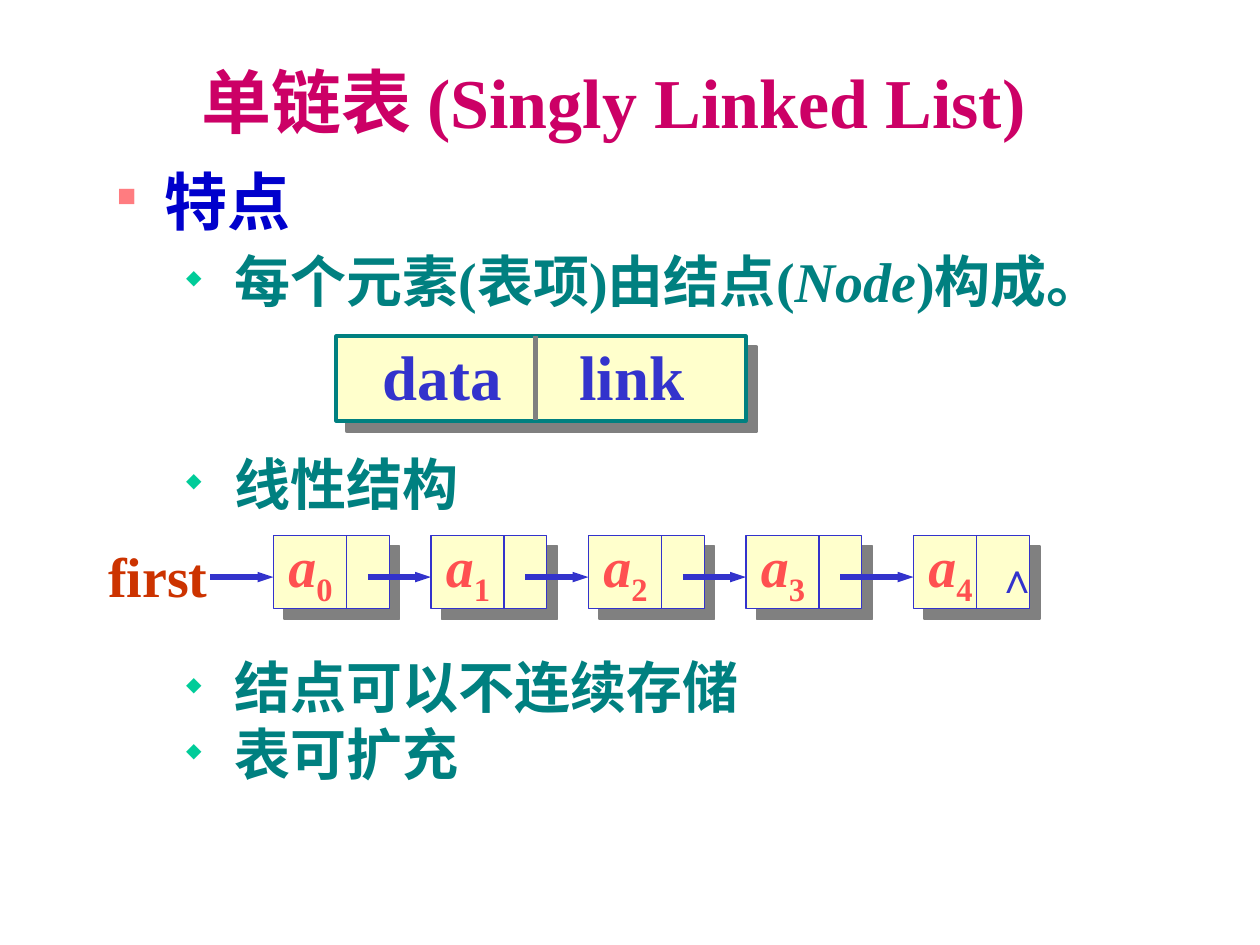
from pptx import Presentation
from pptx.dml.color import RGBColor
from pptx.enum.shapes import MSO_CONNECTOR, MSO_SHAPE
from pptx.enum.text import MSO_ANCHOR, PP_ALIGN
from pptx.oxml.ns import qn
from pptx.util import Inches, Pt
from lxml.etree import SubElement

MAGENTA = RGBColor(0xCC, 0x00, 0x66)
NAVY = RGBColor(0x00, 0x00, 0xCC)
TEAL = RGBColor(0x00, 0x80, 0x80)
BLUE = RGBColor(0x33, 0x33, 0xCC)
RED = RGBColor(0xFF, 0x50, 0x50)
RUST = RGBColor(0xCC, 0x33, 0x00)
CREAM = RGBColor(0xFF, 0xFF, 0xCC)
GRAY = RGBColor(0x80, 0x80, 0x80)
PINK = RGBColor(0xFF, 0x7C, 0x80)
GREEN = RGBColor(0x00, 0xCC, 0x99)
SERIF, SANS = "Times New Roman", "Arial"

TITLE = "单链表 (Singly Linked List)"
# Runs of (text, italic), level, space before in points
FEATURES = [
    ([("特点", False)], 0, 0),
    ([("每个元素(表项)由结点(", False), ("Node", True), (")构成。", False)], 1, 5),
    ([("线性结构", False)], 1, 78),
    ([("结点可以不连续存储", False)], 1, 78),
    ([("表可扩充", False)], 1, 0),
]
# Size, line pitch, colour, left margin, hanging indent, bullet, its colour and percent
LEVELS = [
    (36, 42, NAVY, 0.38, 0.38, "■", PINK, 42),
    (32, 38, TEAL, 0.93, 0.38, "◆", GREEN, 36),
]
FIELDS = [("data", 2.94, 1.3), ("link", 4.5, 1.3)]
# Left edge of each node and offset of its divider
NODES = [(2.17, 0.58), (3.42, 0.58), (4.67, 0.58), (5.92, 0.58), (7.25, 0.5)]
NODE_TOP, NODE_WIDTH, NODE_HEIGHT = 4.25, 0.92, 0.58
ARROW_Y, LINK_OFFSET, FIRST_ARROW_X = 4.58, 0.75, 1.67


def style(run, size, color, font=SERIF, italic=False):
    run.font.name = font
    run.font.size = Pt(size)
    run.font.bold = True
    run.font.italic = italic
    run.font.color.rgb = color


def add_label(slide, words, left, top, width, height, size, color, font=SERIF):
    label = slide.shapes.add_textbox(
        Inches(left), Inches(top), Inches(width), Inches(height))
    label.text_frame.word_wrap = False
    label.text_frame.text = words
    paragraph = label.text_frame.paragraphs[0]
    style(paragraph.runs[0], size, color, font)
    return paragraph


def add_box(slide, left, top, width, height, line_color, line_width):
    """Add a cream rectangle with a hard gray shadow to the lower right."""
    box = slide.shapes.add_shape(
        MSO_SHAPE.RECTANGLE, Inches(left), Inches(top), Inches(width), Inches(height))
    box.fill.solid()
    box.fill.fore_color.rgb = CREAM
    box.line.color.rgb = line_color
    box.line.width = Pt(line_width)
    box.shadow.inherit = False
    effects = box._element.spPr.find(qn("a:effectLst"))
    shadow = SubElement(effects, qn("a:outerShdw"), blurRad="0", dist=str(Pt(8.5)),
                        dir="2700000", algn="ctr", rotWithShape="0")
    SubElement(shadow, qn("a:srgbClr"), val=str(GRAY))


def add_line(slide, x1, y1, x2, y2, color, width, arrow=False):
    line = slide.shapes.add_connector(
        MSO_CONNECTOR.STRAIGHT, Inches(x1), Inches(y1), Inches(x2), Inches(y2))
    line.line.color.rgb = color
    line.line.width = Pt(width)
    if arrow:
        SubElement(line.line._get_or_add_ln(), qn("a:tailEnd"),
                   type="triangle", w="sm", len="med")
    SubElement(line._element.spPr, qn("a:effectLst"))


def add_title(slide):
    title = slide.shapes.title
    title.left, title.top = Inches(1.5), Inches(0.42)
    title.width, title.height = Inches(7.17), Inches(0.75)
    title.text_frame.text = TITLE
    title.text_frame.vertical_anchor = MSO_ANCHOR.MIDDLE
    paragraph = title.text_frame.paragraphs[0]
    paragraph.alignment = PP_ALIGN.LEFT
    style(paragraph.runs[0], 40, MAGENTA)


def add_features(slide):
    body = slide.shapes.add_textbox(
        Inches(0.83), Inches(1.26), Inches(9.17), Inches(5.25)).text_frame
    body.word_wrap = True
    for index, (parts, level, gap) in enumerate(FEATURES):
        size, pitch, color, margin, hanging, bullet, bullet_color, percent = LEVELS[level]
        paragraph = body.add_paragraph() if index else body.paragraphs[0]
        paragraph.level = level
        paragraph.line_spacing = Pt(pitch)
        paragraph.space_before = Pt(gap)
        for words, italic in parts:
            run = paragraph.add_run()
            run.text = words
            style(run, size, color, italic=italic)
        properties = paragraph._p.get_or_add_pPr()
        properties.set("marL", str(Inches(margin)))
        properties.set("indent", str(-Inches(hanging)))
        tint = SubElement(properties, qn("a:buClr"))
        SubElement(tint, qn("a:srgbClr"), val=str(bullet_color))
        SubElement(properties, qn("a:buSzPct"), val=str(percent * 1000))
        SubElement(properties, qn("a:buChar"), char=bullet)


def add_node_structure(slide):
    add_box(slide, 2.67, 2.67, 3.25, 0.67, TEAL, 2.25)
    for field, left, width in FIELDS:
        add_label(slide, field, left, 2.63, width, 0.7, 36, BLUE)
    add_line(slide, 4.25, 2.67, 4.25, 3.33, GRAY, 3)


def add_linked_list(slide):
    add_label(slide, "first", 0.76, 4.25, 0.99, 0.64, 32, RUST)
    for left, divider in NODES:
        add_box(slide, left, NODE_TOP, NODE_WIDTH, NODE_HEIGHT, BLUE, 0.75)
        add_line(slide, left + divider, NODE_TOP,
                 left + divider, NODE_TOP + NODE_HEIGHT, BLUE, 0.75)
    arrow_starts = [FIRST_ARROW_X] + [left + LINK_OFFSET for left, _ in NODES[:-1]]
    for index, (start, (left, _)) in enumerate(zip(arrow_starts, NODES)):
        add_line(slide, start, ARROW_Y, left, ARROW_Y, BLUE, 3, arrow=True)
        element = add_label(slide, "a", left + 0.02, 4.17, 0.55, 0.71, 32, RED)
        element.runs[0].font.italic = True
        subscript = element.add_run()
        subscript.text = str(index)
        style(subscript, 32, RED)
        subscript.font._element.set("baseline", "-25000")
    add_label(slide, "∧", 7.81, 4.33, 0.31, 0.5, 24, BLUE, SANS)


def main():
    deck = Presentation()
    deck.slide_width, deck.slide_height = Inches(10), Inches(7.5)
    slide = deck.slides.add_slide(deck.slide_layouts[5])
    add_title(slide)
    add_features(slide)
    add_node_structure(slide)
    add_linked_list(slide)
    deck.save("out.pptx")


if __name__ == "__main__":
    main()
